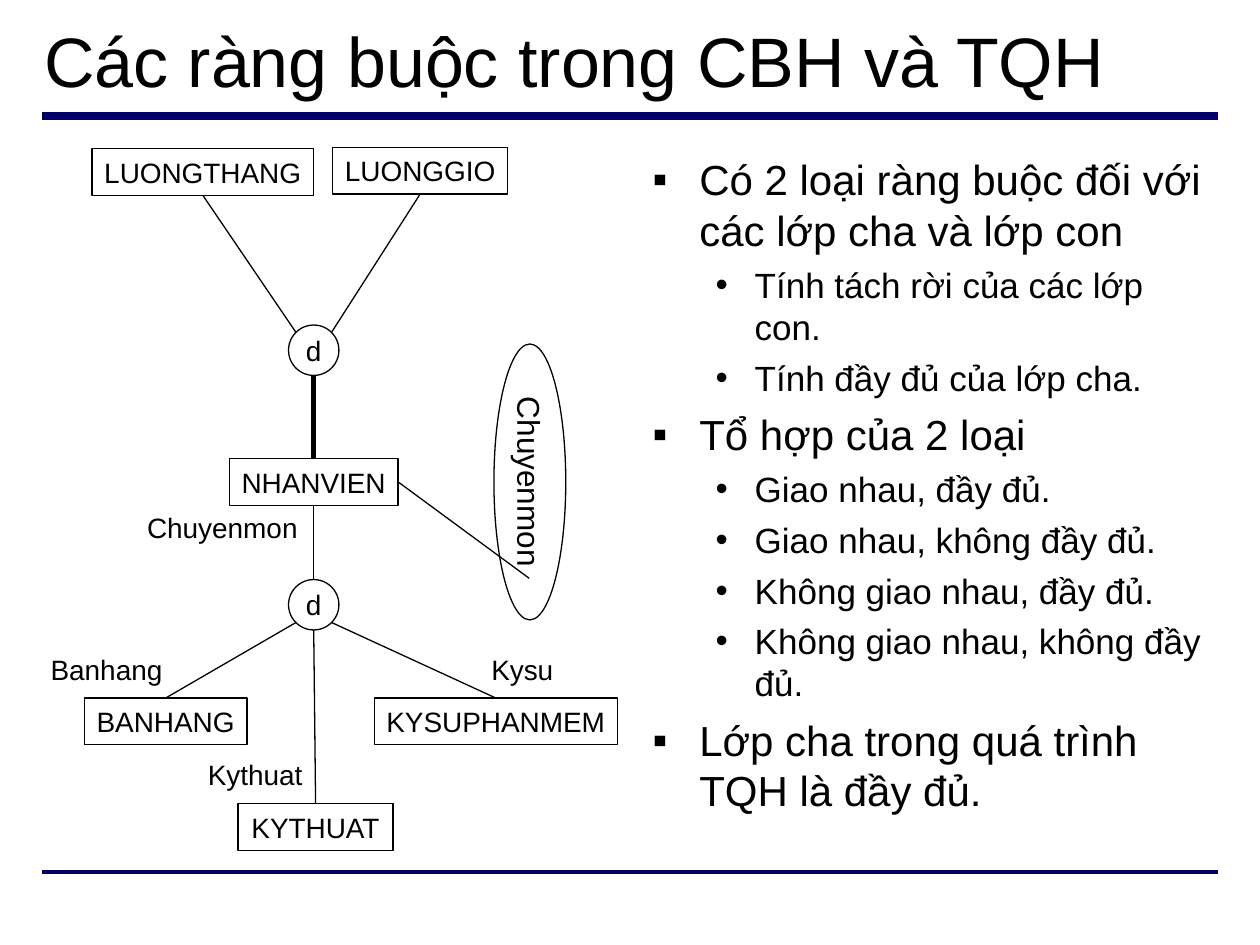
import lxml.etree
import pptx
import pptx.dml.color
import pptx.enum.shapes
import pptx.enum.text
import pptx.oxml.ns
import pptx.util

PX = 9144
BLACK, WHITE, NAVY = "000000", "FFFFFF", "000066"
SHAPE = pptx.enum.shapes.MSO_SHAPE
ALIGN = pptx.enum.text.PP_ALIGN
FIT = pptx.enum.text.MSO_AUTO_SIZE
MIDDLE = pptx.enum.text.MSO_ANCHOR.MIDDLE
TOP, BOTTOM, RIGHT = 0, 2, 3


def px(*lengths):
    """Turn lengths in hundredths of an inch into EMU."""
    return [length * PX for length in lengths]


def color(hex_code):
    """Turn a hex string into a colour."""
    return pptx.dml.color.RGBColor.from_string(hex_code)


def place(placeholder, box):
    """Move a placeholder to a box."""
    placeholder.left, placeholder.top, placeholder.width, placeholder.height = px(*box)


def set_font(paragraph, size):
    """Set the common typeface of a paragraph."""
    paragraph.font.name = "Arial"
    paragraph.font.size = pptx.util.Pt(size)
    paragraph.font.color.rgb = color(BLACK)


def write(shape, text, size=16, wrap=False):
    """Write one centred line into a shape."""
    frame = shape.text_frame
    frame.word_wrap = wrap
    frame.vertical_anchor = MIDDLE
    frame.text = text
    frame.paragraphs[0].alignment = ALIGN.CENTER
    set_font(frame.paragraphs[0], size)


def add_line(slide, start, end, width=0.75, hex_code=BLACK):
    """Draw a straight line without shadow."""
    line = slide.shapes.add_connector(
        pptx.enum.shapes.MSO_CONNECTOR.STRAIGHT, *px(*start, *end))
    line.line.color.rgb = color(hex_code)
    line.line.width = pptx.util.Pt(width)
    properties = line._element.find(pptx.oxml.ns.qn("p:spPr"))
    lxml.etree.SubElement(properties, pptx.oxml.ns.qn("a:effectLst"))
    return line


def add_node(slide, kind, box, text, size=16, fill=None, wrap=False):
    """Draw an outlined diagram node."""
    node = slide.shapes.add_shape(kind, *px(*box))
    node.shadow.inherit = False
    if fill:
        node.fill.solid()
        node.fill.fore_color.rgb = color(fill)
    else:
        node.fill.background()
    node.line.color.rgb = color(BLACK)
    node.line.width = pptx.util.Pt(0.75)
    write(node, text, size, wrap)
    return node


def add_label(slide, box, text):
    """Add a line of text whose box grows to fit it."""
    label = slide.shapes.add_textbox(*px(*box))
    write(label, text)
    label.text_frame.auto_size = FIT.SHAPE_TO_FIT_TEXT


def add_title(slide, box):
    """Fill the title."""
    title = slide.shapes.title
    place(title, box)
    frame = title.text_frame
    frame.text = "Các ràng buộc trong CBH và TQH"
    frame.auto_size = FIT.NONE
    frame.vertical_anchor = MIDDLE
    frame.paragraphs[0].alignment = ALIGN.LEFT
    set_font(frame.paragraphs[0], 40)


def add_constraints(slide, box):
    """Fill the two-level list of constraints."""
    constraints = [
        (0, "Có 2 loại ràng buộc đối với các lớp cha và lớp con"),
        (1, "Tính tách rời của các lớp con."),
        (1, "Tính đầy đủ của lớp cha."),
        (0, "Tổ hợp của 2 loại"),
        (1, "Giao nhau, đầy đủ."),
        (1, "Giao nhau, không đầy đủ."),
        (1, "Không giao nhau, đầy đủ."),
        (1, "Không giao nhau, không đầy đủ."),
        (0, "Lớp cha trong quá trình TQH là đầy đủ."),
    ]
    levels = [("▪", 37, 37, 24, 6), ("•", 81, 31, 20, 5)]
    body = slide.placeholders[1]
    place(body, box)
    frame = body.text_frame
    frame.auto_size = FIT.NONE
    for index, (level, text) in enumerate(constraints):
        bullet, margin, hanging, size, before = levels[level]
        paragraph = frame.add_paragraph() if index else frame.paragraphs[0]
        paragraph.text = text
        paragraph.level = level
        paragraph.space_before = pptx.util.Pt(before if index else 0)
        properties = paragraph._p.get_or_add_pPr()
        properties.set("marL", str(margin * PX))
        properties.set("indent", str(-hanging * PX))
        mark = lxml.etree.SubElement(properties, pptx.oxml.ns.qn("a:buChar"))
        mark.set("char", bullet)
        set_font(paragraph, size)


def add_class_diagram(slide, box):
    """Draw the employee class hierarchy."""
    left, top, _, _ = box
    classes = {}
    for name, x, y, width, fill in [
        ("BANHANG", 37, 437, 129, None),
        ("KYTHUAT", 159, 521, 123, None),
        ("KYSUPHANMEM", 267, 437, 193, None),
        ("NHANVIEN", 152, 247, 134, None),
        ("LUONGTHANG", 43, 1, 176, WHITE),
        ("LUONGGIO", 234, 0, 139, WHITE),
    ]:
        classes[name] = add_node(slide, SHAPE.RECTANGLE,
                                 (left + x, top + y, width, 37), name, fill=fill)

    specialty = add_node(slide, SHAPE.OVAL, (left + 281, top + 237, 219, 57),
                         "Chuyenmon", 18, wrap=True)
    specialty.rotation = 90

    for text, x, y, width in [("Chuyenmon", 75, 283, 143), ("Banhang", 0, 396, 109),
                              ("Kysu", 350, 396, 69), ("Kythuat", 125, 479, 95)]:
        add_label(slide, (left + x, top + y, width, 37), text)

    center, pay_split, job_split = 219, 161, 363
    for y in (pay_split, job_split):
        add_node(slide, SHAPE.OVAL, (left + center - 20, top + y - 20, 40, 40), "d")

    for x, y, name, side, weight in [
        (center - 14, pay_split - 14, "LUONGTHANG", BOTTOM, 0.75),
        (center + 14, pay_split - 14, "LUONGGIO", BOTTOM, 0.75),
        (center, pay_split + 20, "NHANVIEN", TOP, 3),
        (center, job_split - 20, "NHANVIEN", BOTTOM, 0.75),
        (center - 14, job_split + 14, "BANHANG", TOP, 0.75),
        (center, job_split + 20, "KYTHUAT", TOP, 0.75),
        (center + 14, job_split + 14, "KYSUPHANMEM", TOP, 0.75),
        (390, 342, "NHANVIEN", RIGHT, 0.75),
    ]:
        start = (left + x, top + y)
        add_line(slide, start, start, weight).end_connect(classes[name], side)


def main():
    """Build and save the slide."""
    deck = pptx.Presentation()
    deck.slide_width, deck.slide_height = px(1000, 750)
    slide = deck.slides.add_slide(deck.slide_layouts[1])
    for y, weight in ((92, 4.5), (692, 2.25)):
        add_line(slide, (33, y), (967, y), weight, NAVY)
    add_title(slide, (25, 9, 950, 77))
    add_constraints(slide, (508, 117, 467, 559))
    add_class_diagram(slide, (30, 117, 460, 558))
    deck.save("out.pptx")


if __name__ == "__main__":
    main()
